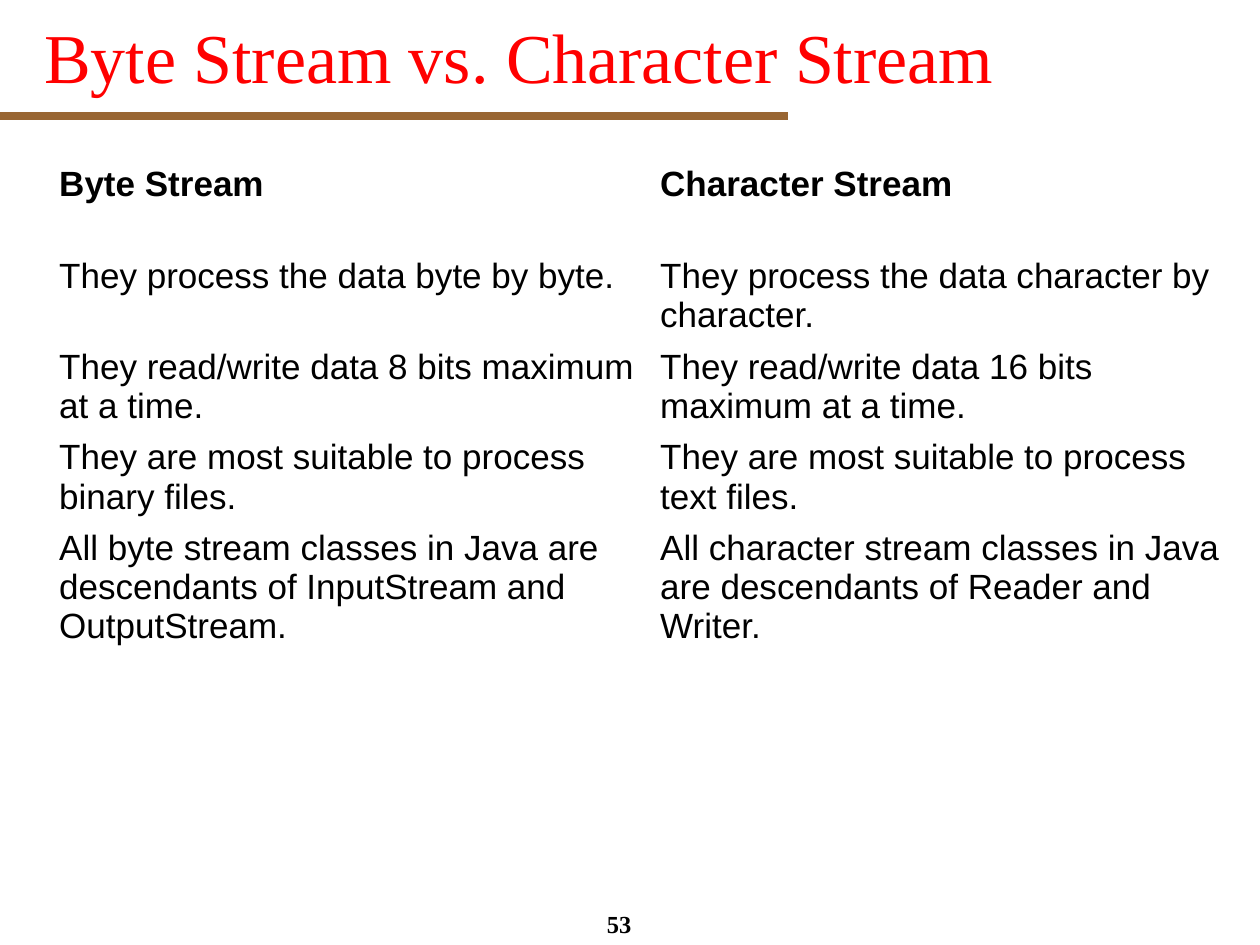
from typing import NamedTuple

from lxml import etree
from pptx import Presentation
from pptx.dml.color import RGBColor
from pptx.enum.shapes import MSO_CONNECTOR
from pptx.enum.text import MSO_ANCHOR, PP_ALIGN
from pptx.oxml.ns import qn
from pptx.util import Cm, Pt

STRAIGHT = MSO_CONNECTOR.STRAIGHT
TOP, MIDDLE = MSO_ANCHOR.TOP, MSO_ANCHOR.MIDDLE
LEFT, CENTER = PP_ALIGN.LEFT, PP_ALIGN.CENTER

COLORS = {"title": "FF0000", "rule": "996633", "text": "000000", "cell": "FFFFFF"}
SERIF, SANS = "Times New Roman", "Arial"


class Label(NamedTuple):
    text: str
    box: tuple[float, float, float, float]
    size: int
    color: str
    bold: bool
    align: PP_ALIGN
    anchor: MSO_ANCHOR


class Row(NamedTuple):
    byte: str
    char: str
    height: float
    bold: bool = False
    drop: float = 0  # extra top margin of the right cell


LABELS = [
    Label("53", (11.63, 18.21, 1.7, 0.84), 14, "text", True, CENTER, TOP),
    Label("Byte Stream vs. Character Stream", (0.64, -0.05, 24.13, 2.34),
          40, "title", False, LEFT, MIDDLE),
]

ROWS = [
    Row("Byte Stream", "Character Stream", 1.07, bold=True),
    Row("They process the data byte by byte.",
        "They process the data character by character.", 2.62, drop=0.79),
    Row("They read/write data 8 bits maximum at a time.",
        "They read/write data 16 bits maximum at a time.", 1.83),
    Row("They are most suitable to process binary files.",
        "They are most suitable to process text files.", 1.83),
    Row("All byte stream classes in Java are descendants of InputStream and OutputStream.",
        "All character stream classes in Java are descendants of Reader and Writer.", 2.62),
]


def rgb(name: str) -> RGBColor:
    return RGBColor.from_string(COLORS[name])


def style(frame, size: int, face: str, color: str, bold: bool) -> None:
    for run in frame.paragraphs[0].runs:
        run.font.size, run.font.name, run.font.bold = Pt(size), face, bold
        run.font.color.rgb = rgb(color)


def add_label(slide, label: Label) -> None:
    frame = slide.shapes.add_textbox(*map(Cm, label.box)).text_frame
    frame.word_wrap = True
    frame.vertical_anchor = label.anchor
    frame.text = label.text
    frame.paragraphs[0].alignment = label.align
    style(frame, label.size, SERIF, label.color, label.bold)


def add_rule(slide) -> None:
    rule = slide.shapes.add_connector(STRAIGHT, 0, Cm(2.33), Cm(15.88), Cm(2.33))
    rule.line.color.rgb = rgb("rule")
    rule.line.width = Pt(4.5)
    etree.SubElement(rule._element.spPr, qn("a:effectLst"))


def add_borders(cell) -> None:
    props = cell._tc.get_or_add_tcPr()
    for spot, side in enumerate(("a:lnL", "a:lnR", "a:lnT", "a:lnB")):
        line = etree.Element(qn(side), w=str(Pt(0.75)))
        fill = etree.SubElement(line, qn("a:solidFill"))
        etree.SubElement(fill, qn("a:srgbClr"), val=COLORS["cell"])
        props.insert(spot, line)


def fill_cell(cell, text: str, bold: bool, drop: float) -> None:
    cell.text_frame.text = text
    style(cell.text_frame, 20, SANS, "text", bold)
    cell.vertical_anchor = MIDDLE
    cell.margin_top = Cm(0.13 + drop)
    cell.fill.solid()
    cell.fill.fore_color.rgb = rgb("cell")
    add_borders(cell)


def add_grid(slide, rows: list[Row]) -> None:
    height = sum(row.height for row in rows)
    table = slide.shapes.add_table(
        len(rows), 2, Cm(0.94), Cm(3.18), Cm(24.23), Cm(height)).table
    table.first_row = table.horz_banding = False
    for line, row in zip(table.rows, rows):
        line.height = Cm(row.height)
        fill_cell(line.cells[0], row.byte, row.bold, 0)
        fill_cell(line.cells[1], row.char, row.bold, row.drop)


def main() -> None:
    deck = Presentation()
    deck.slide_width, deck.slide_height = Cm(25.4), Cm(19.05)
    slide = deck.slides.add_slide(deck.slide_layouts[6])

    # Rule under the title
    add_rule(slide)
    # Comparison table
    add_grid(slide, ROWS)
    # Page number and title
    for label in LABELS:
        add_label(slide, label)

    deck.save("out.pptx")


if __name__ == "__main__":
    main()
